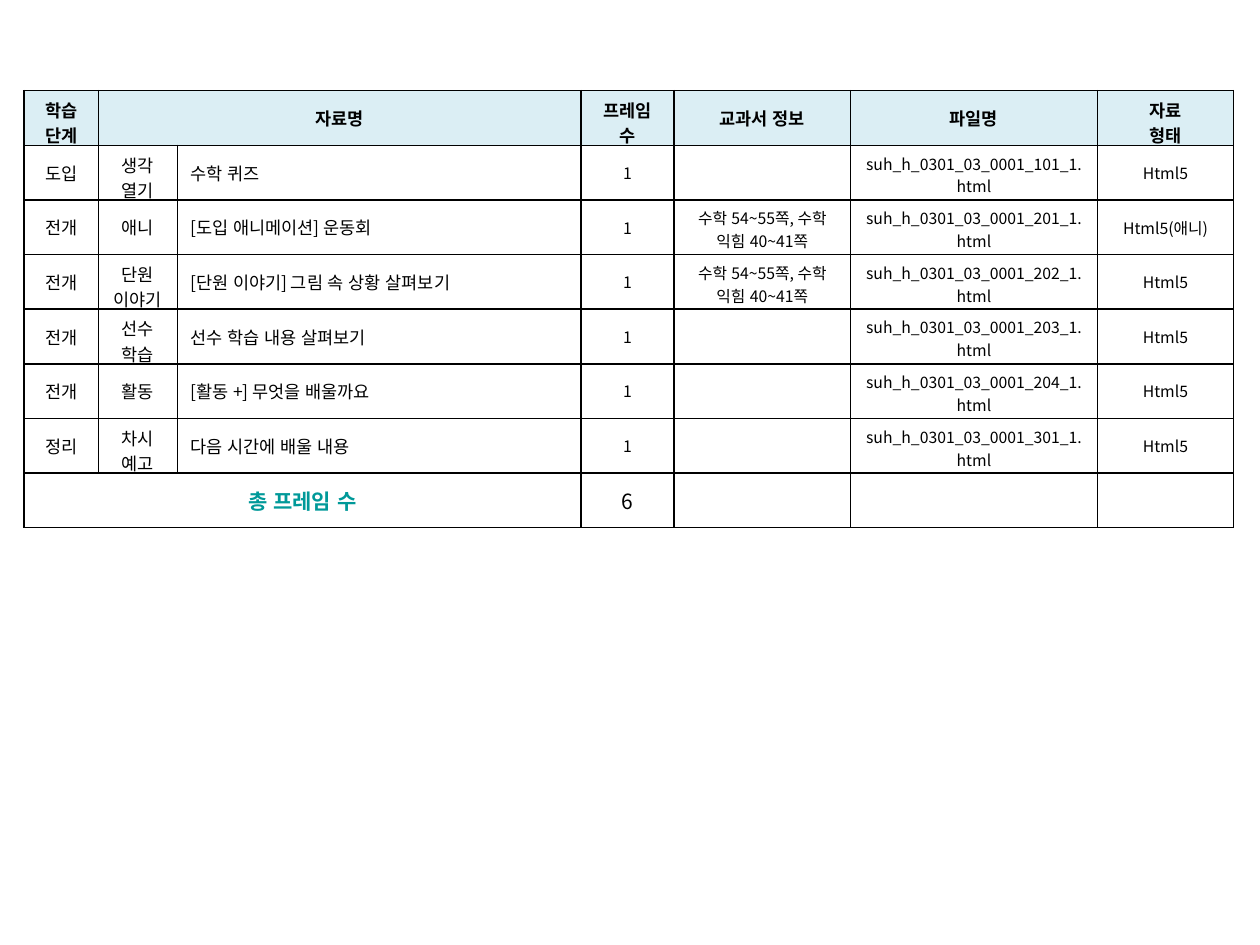
import pptx
import pptx.dml.color
import pptx.enum.lang
import pptx.enum.text
import pptx.util
import pptx.oxml
import pptx.oxml.ns
from lxml import etree

Inches, Pt = pptx.util.Inches, pptx.util.Pt
RGBColor = pptx.dml.color.RGBColor
PP_ALIGN = pptx.enum.text.PP_ALIGN
KOREAN = pptx.enum.lang.MSO_LANGUAGE_ID.KOREAN
qn = pptx.oxml.ns.qn

BLACK = RGBColor(0x00, 0x00, 0x00)
TEAL = RGBColor(0x00, 0x99, 0x99)
HEADER_BLUE = RGBColor(0xDB, 0xEE, 0xF4)
FONT = "Noto Sans CJK KR"

COLUMN_WIDTHS = [0.59, 0.63, 3.2, 0.74, 1.4, 1.96, 1.08]
TABLE_HEIGHT = 3.47
ROW_COUNT = 8
ROW_HEIGHT = TABLE_HEIGHT / ROW_COUNT
SIDE_MARGIN, TOP_MARGIN = 0.1, 0.05
LINE_FACTOR = 1.46  # line height of the font, in ems
TITLE_COLUMN = 2

# Text formats
BODY = {"size": Pt(10), "bold": False}
SMALL = {"size": Pt(9), "bold": False}
HEADER = {"size": Pt(10), "bold": True}
TOTAL_LABEL = {"size": Pt(12), "bold": True}
TOTAL_COUNT = {"size": Pt(12), "bold": False}
LESSON_FORMATS = [BODY] * 3 + [SMALL] * 4

# Content: \n starts a paragraph, \v breaks a line
HEADINGS = ["학습 단계", "자료명", "", "프레임 수", "교과서 정보", "파일명", "자료\n형태"]
PAGES = "수학 54~55쪽, 수학 익힘 40~41쪽"
LESSONS = [
    # stage, section, title, textbook pages, file number, type
    ("도입", "생각\n열기", "수학 퀴즈", "", 101, "Html5"),
    ("전개", "애니", "[도입 애니메이션] 운동회", PAGES, 201, "Html5(애니)"),
    ("전개", "단원\n이야기", "[단원 이야기] 그림 속 상황 살펴보기", PAGES, 202, "Html5"),
    ("전개", "선수\v학습", "선수 학습 내용 살펴보기", "", 203, "Html5"),
    ("전개", "활동", "[활동 +] 무엇을 배울까요", "", 204, "Html5"),
    ("정리", "차시 예고", "다음 시간에 배울 내용", "", 301, "Html5"),
]


def add_borders(cell):
    """Draw a thin black line on all four sides, ahead of the cell's fill."""
    properties = cell._tc.get_or_add_tcPr()
    for position, side in enumerate(("a:lnL", "a:lnR", "a:lnT", "a:lnB")):
        border = etree.Element(qn(side), w=str(Pt(1)))
        solid = etree.SubElement(border, qn("a:solidFill"))
        etree.SubElement(solid, qn("a:srgbClr"), val=str(BLACK))
        properties.insert(position, border)


def write_cell(cell, text, text_format, color=BLACK, align=PP_ALIGN.CENTER):
    cell.vertical_anchor = pptx.enum.text.MSO_ANCHOR.MIDDLE
    cell.text_frame.text = text
    for paragraph in cell.text_frame.paragraphs:
        paragraph.alignment = align
        for run in paragraph.runs:
            for name, value in {**text_format, "name": FONT, "language_id": KOREAN}.items():
                setattr(run.font, name, value)
            run.font.color.rgb = color
            east_asian = etree.Element(qn("a:ea"), typeface=FONT)
            run.font._element.find(qn("a:latin")).addnext(east_asian)
        if not paragraph.runs:
            # Keep an empty cell from stretching its row
            size = str(int(text_format["size"].pt * 100))
            etree.SubElement(paragraph._p, qn("a:endParaRPr"), sz=size)


def fit_two_lines(cell, text, text_format, width):
    """Trim the bottom margin where two lines would stretch the row."""
    size = text_format["size"].inches
    text_width = size * sum(1 if letter >= "가" else 0.55 for letter in text)
    broken = "\n" in text or "\v" in text
    if broken or text_width > width - 2 * SIDE_MARGIN:
        spare = ROW_HEIGHT - TOP_MARGIN - 2 * LINE_FACTOR * size
        cell.margin_bottom = Inches(spare)


def add_lesson_table(slide):
    frame = slide.shapes.add_table(
        ROW_COUNT, len(COLUMN_WIDTHS), Inches(0.19), Inches(0.72),
        Inches(sum(COLUMN_WIDTHS)), Inches(TABLE_HEIGHT))
    table = frame.table
    table.first_row = table.horz_banding = False
    for column, width in zip(table.columns, COLUMN_WIDTHS):
        column.width = Inches(width)
    for row in table.rows:
        row.height = Inches(ROW_HEIGHT)
    for cell in table.iter_cells():
        cell.fill.background()
        add_borders(cell)
    return table


def fill_header(table):
    for column, heading in enumerate(HEADINGS):
        cell = table.cell(0, column)
        cell.fill.solid()
        cell.fill.fore_color.rgb = HEADER_BLUE
        write_cell(cell, heading, HEADER)
        fit_two_lines(cell, heading, HEADER, COLUMN_WIDTHS[column])
    table.cell(0, 1).merge(table.cell(0, TITLE_COLUMN))


def fill_lessons(table):
    for row, (stage, section, title, pages, number, kind) in enumerate(LESSONS, 1):
        file_name = f"suh_h_0301_03_0001_{number}_1.html"
        values = [stage, section, title, "1", pages, file_name, kind]
        for column, value in enumerate(values):
            cell, text_format = table.cell(row, column), LESSON_FORMATS[column]
            align = PP_ALIGN.LEFT if column == TITLE_COLUMN else PP_ALIGN.CENTER
            write_cell(cell, value, text_format, align=align)
            fit_two_lines(cell, value, text_format, COLUMN_WIDTHS[column])


def fill_total(table):
    last = ROW_COUNT - 1
    for column in range(len(COLUMN_WIDTHS)):
        write_cell(table.cell(last, column), "", SMALL)
    table.cell(last, 0).merge(table.cell(last, TITLE_COLUMN))
    write_cell(table.cell(last, 0), "총 프레임 수", TOTAL_LABEL, TEAL)
    write_cell(table.cell(last, 3), str(len(LESSONS)), TOTAL_COUNT)


def main():
    presentation = pptx.Presentation()
    presentation.slide_width = Inches(10)
    presentation.slide_height = Inches(7.5)
    slide = presentation.slides.add_slide(presentation.slide_layouts[6])

    # Lesson plan table
    table = add_lesson_table(slide)
    fill_header(table)
    fill_lessons(table)
    fill_total(table)

    presentation.save("out.pptx")


if __name__ == "__main__":
    main()
